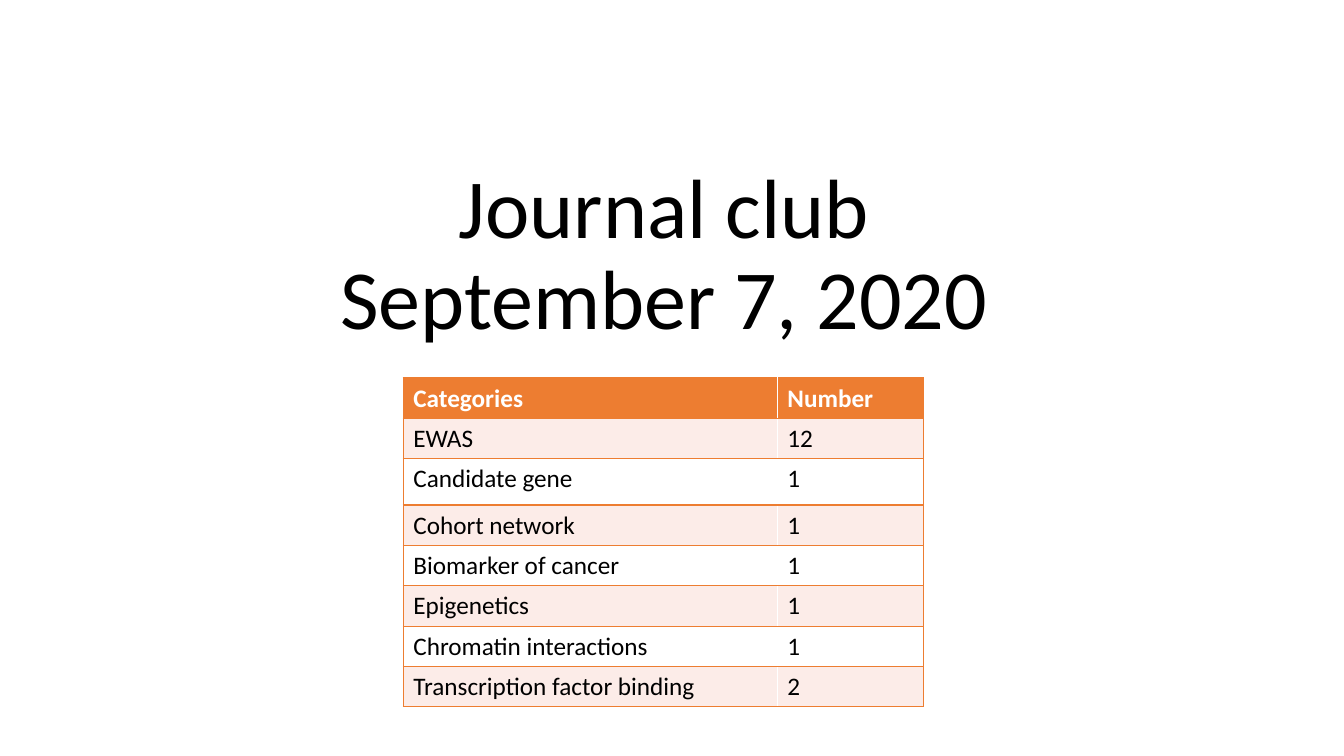
from lxml import etree
from pptx import Presentation
from pptx.dml.color import RGBColor
from pptx.enum import text
from pptx.oxml import ns
from pptx.util import Inches, Pt

TITLE = "Journal club\vSeptember 7, 2020"
HEAD = ("Categories", "Number")
ROWS = [
    ("EWAS", 12),
    ("Candidate gene", 1),
    ("Cohort network", 1),
    ("Biomarker of cancer", 1),
    ("Epigenetics", 1),
    ("Chromatin interactions", 1),
    ("Transcription factor binding", 2),
]
COLORS = {"black": "000000", "white": "FFFFFF", "orange": "ED7D31", "tint": "FCECE8"}
WIDTHS = (3.71, 1.45)
HIGH, TALL = 0.4, 0.46
TALL_ROW = "Candidate gene"
EDGES = (("lnL", "lnT", "lnB"), ("lnR", "lnT", "lnB"))


def write(frame, words, size=18, color="black", bold=False, align=None, space=None):
    para = frame.paragraphs[0]
    para.text = words
    para.alignment = align
    para.line_spacing = space
    font = para.font
    for run in para.runs:
        font = run.font
        font.name = "Calibri"
        font.size = Pt(size)
        font.bold = bold
        font.color.rgb = RGBColor.from_string(COLORS[color])


def border(cell, edges):
    props = cell._tc.get_or_add_tcPr()
    for spot, edge in enumerate(edges):
        line = etree.Element(ns.qn(f"a:{edge}"), w=str(Pt(1)))
        fill = etree.SubElement(line, ns.qn("a:solidFill"))
        etree.SubElement(fill, ns.qn("a:srgbClr"), val=COLORS["orange"])
        props.insert(spot, line)


def main():
    deck = Presentation()
    deck.slide_width, deck.slide_height = Inches(13.33), Inches(7.5)
    slide = deck.slides.add_slide(deck.slide_layouts[6])

    title = slide.shapes.add_textbox(Inches(1.51), Inches(0.89), Inches(10.15), Inches(2.61))
    frame = title.text_frame
    frame.word_wrap = True
    frame.vertical_anchor = text.MSO_ANCHOR.BOTTOM
    write(frame, TITLE, size=60, align=text.PP_ALIGN.CENTER, space=0.9)

    data = [HEAD] + ROWS
    highs = [TALL if row[0] == TALL_ROW else HIGH for row in data]
    table = slide.shapes.add_table(
        len(data), len(HEAD), Inches(4), Inches(3.75),
        Inches(sum(WIDTHS)), Inches(sum(highs))).table
    for col, width in zip(table.columns, WIDTHS):
        col.width = Inches(width)
    for r, (row, high) in enumerate(zip(data, highs)):
        table.rows[r].height = Inches(high)
        top = r == 0
        shade = "orange" if top else "tint" if r % 2 else "white"
        for c, value in enumerate(row):
            cell = table.cell(r, c)
            cell.fill.solid()
            cell.fill.fore_color.rgb = RGBColor.from_string(COLORS[shade])
            border(cell, EDGES[c])
            write(cell.text_frame, str(value), color="white" if top else "black", bold=top)

    deck.save("out.pptx")


if __name__ == "__main__":
    main()
